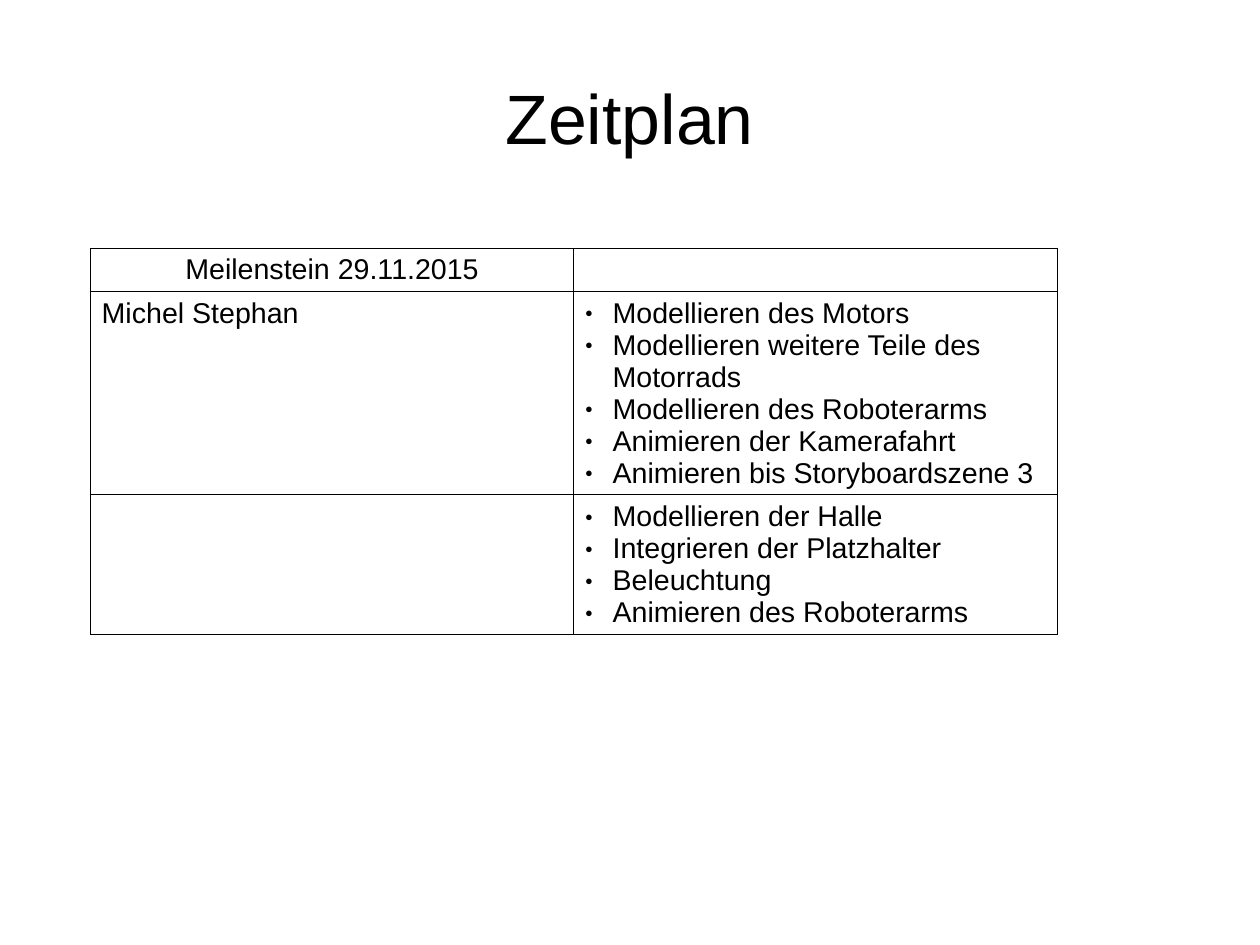
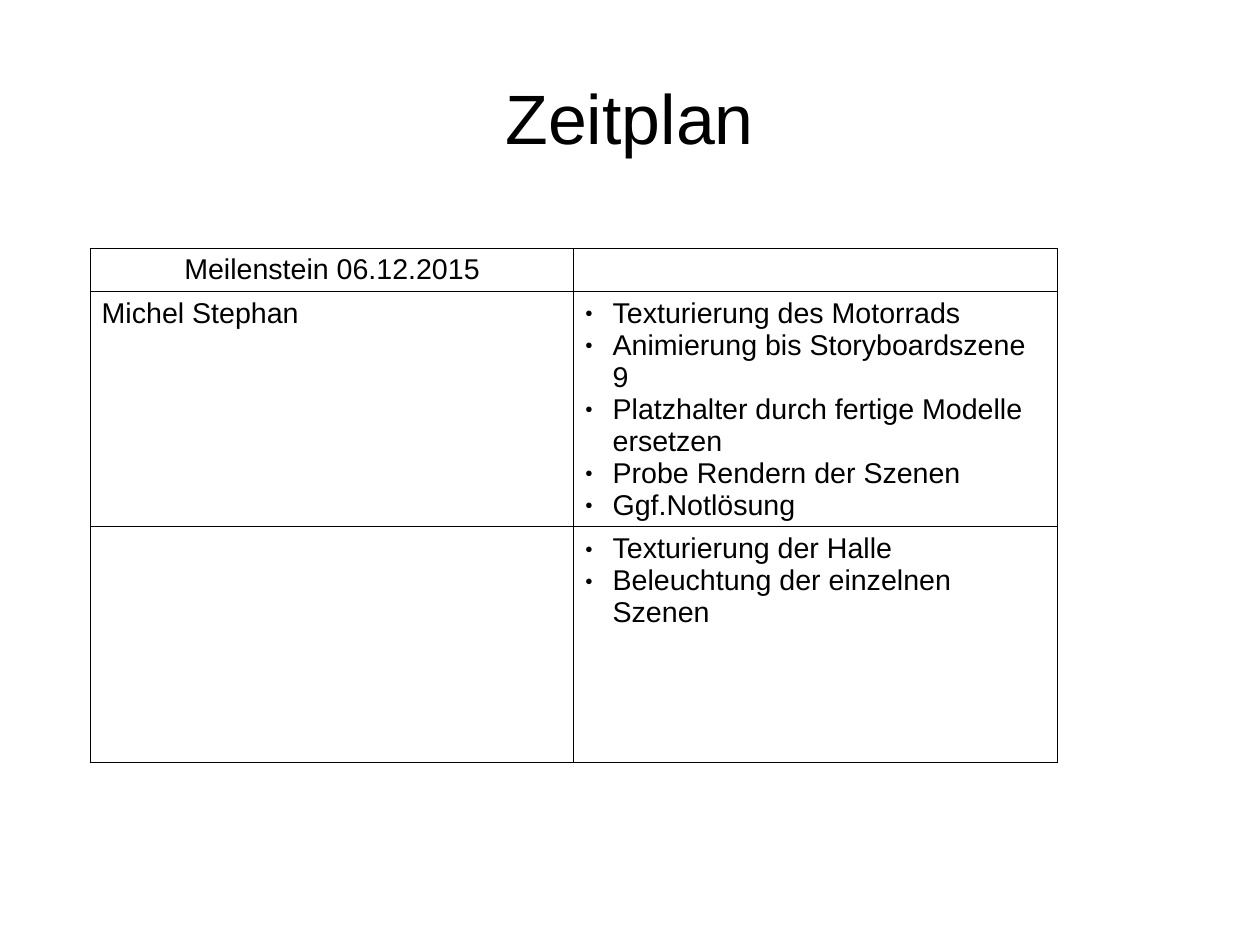
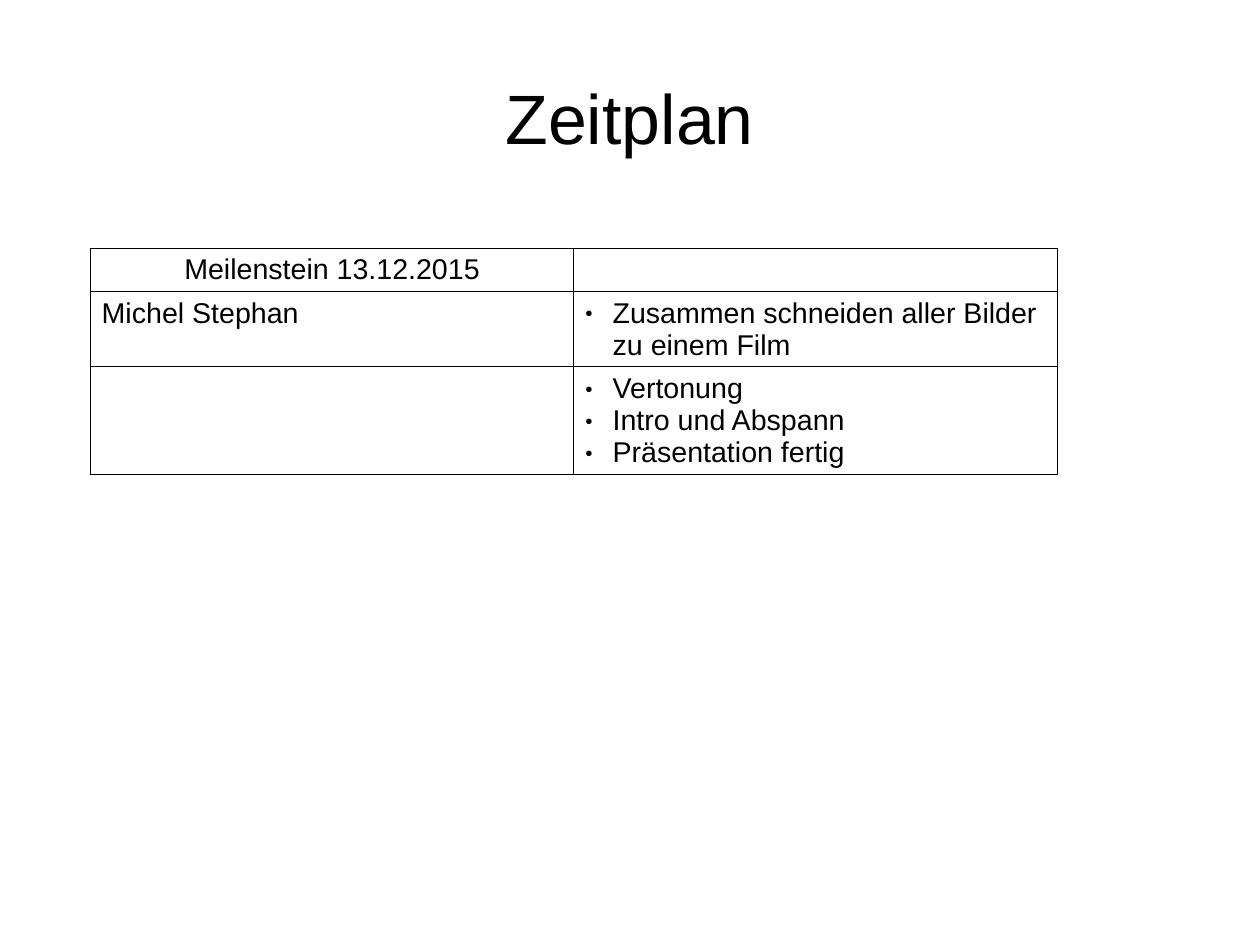
from dataclasses import dataclass

from lxml import etree
from pptx import Presentation
from pptx.dml.color import RGBColor
from pptx.enum.text import MSO_ANCHOR, PP_ALIGN
from pptx.oxml.ns import qn
from pptx.slide import Slide
from pptx.table import _Cell
from pptx.text.text import _Paragraph
from pptx.util import Cm, Inches, Pt

CENTER, LEFT = PP_ALIGN.CENTER, PP_ALIGN.LEFT
MIDDLE = MSO_ANCHOR.MIDDLE
TITLE_ONLY = 5

COLORS = {"text": "000000", "line": "000000", "paper": "FFFFFF"}
FONT = "Arial"
TITLE_SIZE, TABLE_SIZE = 44, 18
BORDER_WIDTH = Pt(0.75)
COLUMN_WIDTH, HEADER_HEIGHT = 4.23, 0.38
BULLET_INDENT = Inches(0.24)


@dataclass(frozen=True)
class Task:
    person: str
    steps: tuple[str, ...]
    height: float


@dataclass(frozen=True)
class Milestone:
    date: str
    tasks: tuple[Task, ...]


MILESTONES = (
    Milestone("29.11.2015", (
        Task("Michel Stephan", (
            "Modellieren des Motors",
            "Modellieren weitere Teile des Motorrads",
            "Modellieren des Roboterarms",
            "Animieren der Kamerafahrt",
            "Animieren bis Storyboardszene 3",
        ), 1.78),
        Task("", (
            "Modellieren der Halle",
            "Integrieren der Platzhalter",
            "Beleuchtung",
            "Animieren des Roboterarms",
        ), 1.22),
    )),
    Milestone("06.12.2015", (
        Task("Michel Stephan", (
            "Texturierung des Motorrads",
            "Animierung bis Storyboardszene 9",
            "Platzhalter durch fertige Modelle ersetzen",
            "Probe Rendern der Szenen",
            "Ggf.Notlösung",
        ), 2.06),
        Task("", (
            "Texturierung der Halle",
            "Beleuchtung der einzelnen Szenen",
        ), 2.06),
    )),
    Milestone("13.12.2015", (
        Task("Michel Stephan", (
            "Zusammen schneiden aller Bilder zu einem Film",
        ), 0.66),
        Task("", (
            "Vertonung",
            "Intro und Abspann",
            "Präsentation fertig",
        ), 0.94),
    )),
)


def add_text(p: _Paragraph, text: str, size: int, align: PP_ALIGN = LEFT) -> None:
    p.alignment = align
    r = p.add_run()
    r.text = text
    r.font.name = FONT
    r.font.size = Pt(size)
    r.font.color.rgb = RGBColor.from_string(COLORS["text"])


def add_bullet(p: _Paragraph) -> None:
    pPr = p._p.get_or_add_pPr()
    pPr.set("marL", str(BULLET_INDENT))
    pPr.set("indent", str(-BULLET_INDENT))
    etree.SubElement(pPr, qn("a:buSzPct"), val="45000")
    etree.SubElement(pPr, qn("a:buFont"), typeface=FONT)
    etree.SubElement(pPr, qn("a:buChar"), char="●")


def style_cell(cell: _Cell) -> None:
    """Set borders, fill and the font that gives an empty cell its height."""
    tcPr = cell._tc.get_or_add_tcPr()
    for side in ("L", "R", "T", "B"):
        ln = etree.SubElement(tcPr, qn(f"a:ln{side}"), w=str(BORDER_WIDTH))
        fill = etree.SubElement(ln, qn("a:solidFill"))
        etree.SubElement(fill, qn("a:srgbClr"), val=COLORS["line"])
    cell.fill.solid()
    cell.fill.fore_color.rgb = RGBColor.from_string(COLORS["paper"])
    p = cell.text_frame.paragraphs[0]
    end = etree.SubElement(p._p, qn("a:endParaRPr"), sz=str(TABLE_SIZE * 100))
    etree.SubElement(end, qn("a:latin"), typeface=FONT)


def add_title(s: Slide, text: str) -> None:
    sp = s.shapes.title
    sp.left, sp.top = Inches(0.55), Inches(0.33)
    sp.width, sp.height = Inches(9.92), Inches(1.38)
    tf = sp.text_frame
    tf.margin_left = tf.margin_right = tf.margin_top = tf.margin_bottom = 0
    tf.vertical_anchor = MIDDLE
    add_text(tf.paragraphs[0], text, TITLE_SIZE, CENTER)


def add_schedule(s: Slide, milestone: Milestone) -> None:
    heights = [HEADER_HEIGHT, *(task.height for task in milestone.tasks)]
    table = s.shapes.add_table(
        len(heights), 2, Inches(0.79), Inches(2.17),
        Inches(2 * COLUMN_WIDTH), Inches(sum(heights))).table
    table.first_row = table.horz_banding = False
    for row, height in zip(table.rows, heights):
        row.height = Inches(height)
    for cell in table.iter_cells():
        style_cell(cell)

    header = table.cell(0, 0).text_frame.paragraphs[0]
    add_text(header, f"Meilenstein {milestone.date}", TABLE_SIZE, CENTER)
    for row, task in enumerate(milestone.tasks, start=1):
        if task.person:
            add_text(table.cell(row, 0).text_frame.paragraphs[0],
                     task.person, TABLE_SIZE)
        tf = table.cell(row, 1).text_frame
        for i, step in enumerate(task.steps):
            p = tf.add_paragraph() if i else tf.paragraphs[0]
            add_text(p, step, TABLE_SIZE)
            add_bullet(p)


def main() -> None:
    prs = Presentation()
    prs.slide_width, prs.slide_height = Cm(28), Cm(21)
    for milestone in MILESTONES:
        s = prs.slides.add_slide(prs.slide_layouts[TITLE_ONLY])
        add_title(s, "Zeitplan")
        add_schedule(s, milestone)
    prs.save("out.pptx")


if __name__ == "__main__":
    main()
